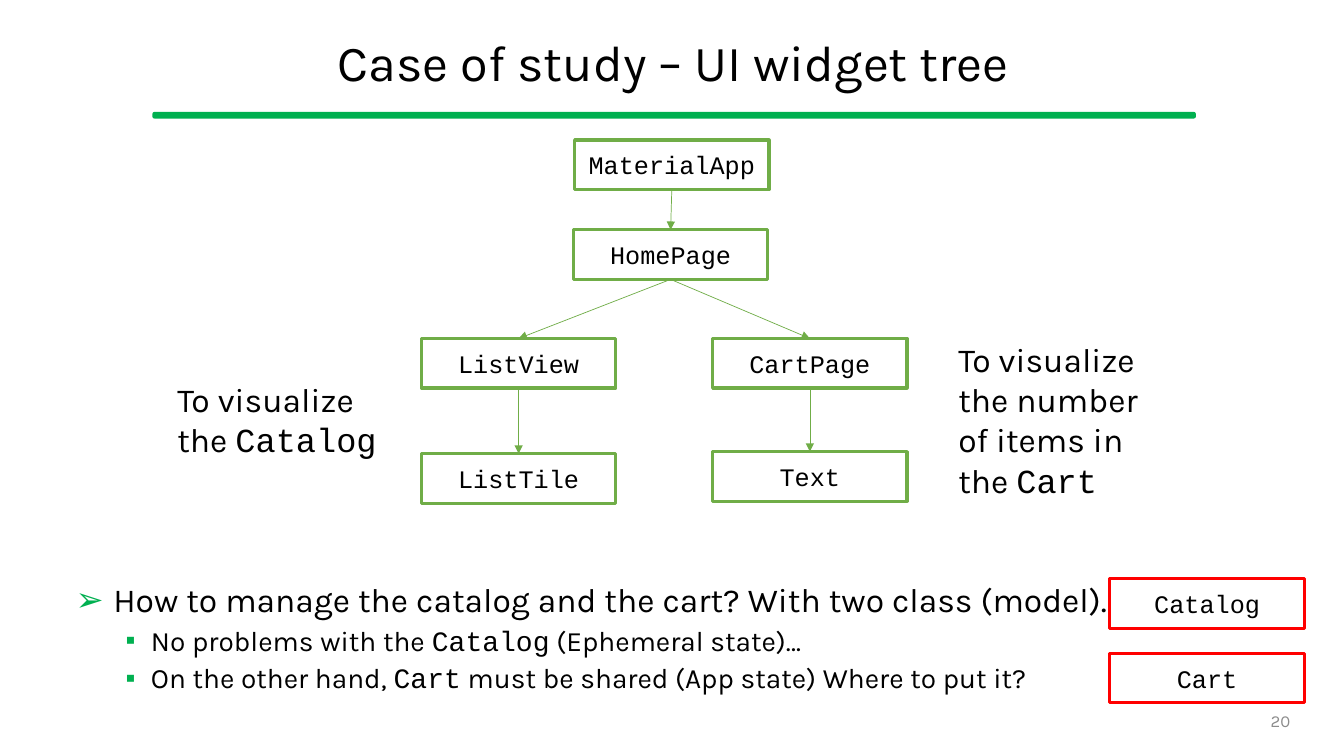
from lxml.etree import SubElement
from pptx import Presentation
from pptx.dml.color import RGBColor
from pptx.enum.shapes import MSO_CONNECTOR, MSO_SHAPE
from pptx.enum.text import MSO_ANCHOR, MSO_AUTO_SIZE, PP_ALIGN
from pptx.oxml.ns import qn
from pptx.util import Cm, Pt

COLOURS = {
    "text": "000000",
    "number": "8C8C8C",
    "box": "FFFFFF",
    "tree": "70AD47",
    "accent": "00B050",
    "model": "FF0000",
}
TEXT_FONT = "Karla"
CODE_FONT = "Courier New"
BOX_WIDTH, BOX_HEIGHT = 4.9, 1.25

WIDGETS = {
    "MaterialApp": (14.48, 3.53),
    "HomePage": (14.45, 5.79),
    "ListView": (10.62, 8.53),
    "CartPage": (17.96, 8.53),
    "ListTile": (10.62, 11.43),
    "Text": (17.96, 11.38),
}
BRANCHES = [
    ("MaterialApp", "HomePage"),
    ("HomePage", "ListView"),
    ("HomePage", "CartPage"),
    ("ListView", "ListTile"),
    ("CartPage", "Text"),
]
MODELS = {"Catalog": (27.97, 14.58), "Cart": (27.97, 16.46)}

# Each item: level, then pieces of text that alternate between prose and code.
ITEMS = [
    (0, ["How to manage the catalog and the cart? With two class (model)."]),
    (1, ["No problems with the ", "Catalog", " (Ephemeral state)…"]),
    (1, ["On the other hand, ", "Cart",
         " must be shared (App state) Where to put it?"]),
]
# Character, size, left margin, hanging indent and space before, by level.
LEVELS = [("➢", 24, 0.95, 0.95, 0), ("▪", 20, 1.9, 0.64, 5)]


def colour(name):
    return RGBColor.from_string(COLOURS[name])


def place(shape, left, top, width, height):
    shape.left, shape.top = Cm(left), Cm(top)
    shape.width, shape.height = Cm(width), Cm(height)


def write(paragraph, pieces, size, fonts=(TEXT_FONT, CODE_FONT), ink="text"):
    """Add the pieces as runs, taking the fonts in turn."""
    for index, piece in enumerate(pieces):
        run = paragraph.add_run()
        run.text = piece
        run.font.name = fonts[index % len(fonts)]
        run.font.size = Pt(size)
        run.font.color.rgb = colour(ink)


def add_panel(slide, kind, bounds, fill, line, line_width):
    shape = slide.shapes.add_shape(kind, *map(Cm, bounds))
    shape.shadow.inherit = False
    shape.fill.solid()
    shape.fill.fore_color.rgb = colour(fill)
    shape.line.color.rgb = colour(line)
    shape.line.width = Pt(line_width)
    return shape


def add_class_box(slide, name, position, line):
    box = add_panel(slide, MSO_SHAPE.RECTANGLE,
                    (*position, BOX_WIDTH, BOX_HEIGHT), "box", line, 2.25)
    box.text_frame.vertical_anchor = MSO_ANCHOR.MIDDLE
    paragraph = box.text_frame.paragraphs[0]
    paragraph.alignment = PP_ALIGN.CENTER
    write(paragraph, [name], 18, [CODE_FONT])
    return box


def add_branch(slide, parent, child):
    """Draw an arrow from the bottom of parent to the top of child."""
    arrow = slide.shapes.add_connector(MSO_CONNECTOR.STRAIGHT, 0, 0, 0, 0)
    arrow.begin_connect(parent, 2)
    arrow.end_connect(child, 0)
    arrow.line.color.rgb = colour("tree")
    arrow.line.width = Pt(0.5)
    SubElement(arrow.line._get_or_add_ln(), qn("a:tailEnd"), type="triangle")
    SubElement(arrow._element.spPr, qn("a:effectLst"))


def add_label(slide, bounds, pieces, size, ink="text"):
    label = slide.shapes.add_textbox(*map(Cm, bounds))
    label.text_frame.word_wrap = True
    write(label.text_frame.paragraphs[0], pieces, size, ink=ink)
    return label


def add_bullet(paragraph, character):
    properties = paragraph._p.get_or_add_pPr()
    bullet_colour = SubElement(properties, qn("a:buClr"))
    SubElement(bullet_colour, qn("a:srgbClr"), val=COLOURS["accent"])
    SubElement(properties, qn("a:buFont"), typeface="Arial")
    SubElement(properties, qn("a:buChar"), char=character)


def fill_title(title):
    place(title, 1.19, 0.46, 31.57, 2.39)
    title.text_frame.auto_size = MSO_AUTO_SIZE.NONE
    title.text_frame.vertical_anchor = MSO_ANCHOR.MIDDLE
    paragraph = title.text_frame.paragraphs[0]
    paragraph.alignment = PP_ALIGN.CENTER
    paragraph.line_spacing = 0.9
    write(paragraph, ["Case of study – UI widget tree"], 36)


def fill_body(body):
    place(body, 1.65, 14.58, 30.02, 3.51)
    frame = body.text_frame
    frame.auto_size = MSO_AUTO_SIZE.NONE
    for index, (level, pieces) in enumerate(ITEMS):
        paragraph = frame.add_paragraph() if index else frame.paragraphs[0]
        character, size, margin, hanging, space = LEVELS[level]
        paragraph.level = level
        paragraph.line_spacing = 0.9
        paragraph.space_before = Pt(space)
        properties = paragraph._p.get_or_add_pPr()
        properties.set("marL", str(Cm(margin)))
        properties.set("indent", str(-Cm(hanging)))
        add_bullet(paragraph, character)
        write(paragraph, pieces, size)


def main():
    presentation = Presentation()
    presentation.slide_width, presentation.slide_height = Cm(33.87), Cm(19.05)
    slide = presentation.slides.add_slide(presentation.slide_layouts[1])

    fill_title(slide.shapes.title)
    fill_body(slide.placeholders[1])
    rule = add_panel(slide, MSO_SHAPE.ROUNDED_RECTANGLE,
                     (3.86, 2.84, 26.26, 0.13), "accent", "accent", 1)
    rule.adjustments[0] = 0.26

    boxes = {name: add_class_box(slide, name, position, "tree")
             for name, position in WIDGETS.items()}
    for parent, child in BRANCHES:
        add_branch(slide, boxes[parent], boxes[child])
    for name, position in MODELS.items():
        add_class_box(slide, name, position, "model")

    add_label(slide, (4.22, 9.42, 5.87, 2.31),
              ["To visualize the ", "Catalog"], 24)
    add_label(slide, (23.9, 8.41, 5.87, 4.37),
              ["To visualize the number of items in the ", "Cart"], 24)
    number = add_label(slide, (23.93, 17.65, 8.84, 1.02), ["20"], 12, "number")
    number.text_frame.vertical_anchor = MSO_ANCHOR.MIDDLE
    number.text_frame.paragraphs[0].alignment = PP_ALIGN.RIGHT

    presentation.save("out.pptx")


if __name__ == "__main__":
    main()
